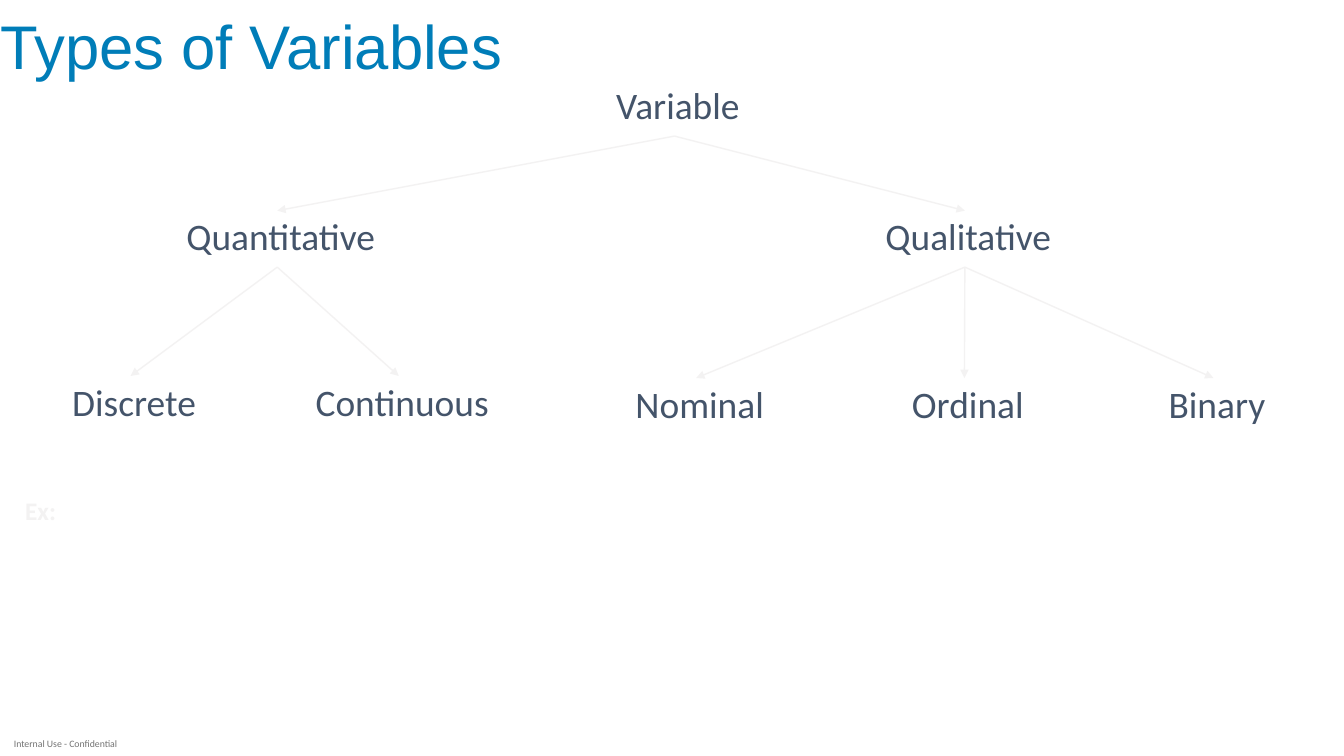
from pptx import Presentation
from pptx import util as u
from pptx.dml import color
from pptx.enum import shapes, text
from pptx.oxml import ns
from lxml import etree


def paint(hue):
    return color.RGBColor.from_string(hue)


def write(shape, words, size, face, hue, pads, align="LEFT", bold=False):
    frame = shape.text_frame
    frame.text = words
    frame.word_wrap = True
    frame.auto_size = text.MSO_AUTO_SIZE.NONE
    frame.vertical_anchor = text.MSO_ANCHOR.MIDDLE
    left, top, right, low = [u.Inches(pad) for pad in pads]
    frame.margin_left, frame.margin_top = left, top
    frame.margin_right, frame.margin_bottom = right, low
    line = frame.paragraphs[0]
    line.alignment = getattr(text.PP_ALIGN, align)
    line.line_spacing = 0.9
    font = line.runs[0].font
    font.size, font.name, font.bold = u.Pt(size), face, bold
    font.color.rgb = paint(hue)


deck = Presentation()
deck.slide_width, deck.slide_height = u.Inches(13.33), u.Inches(7.5)
slide = deck.slides.add_slide(deck.slide_layouts[5])

title = slide.shapes.title
title.left, title.top = u.Inches(0), u.Inches(0.03)
title.width, title.height = u.Inches(11.6), u.Inches(0.93)
write(title, "Types of Variables", 44, "Arial", "007DB8", (0, 0.05, 0, 0.05))

labels = [
    ("Internal Use - Confidential", 0, 7.27, 1.3, 0.23, 7, "737373", "CENTER", False),
    ("Ex:", 0.25, 4.88, 1, 0.4, 18, "F3F2F2", "LEFT", True),
]
for words, x, y, wide, high, size, hue, align, bold in labels:
    box = slide.shapes.add_textbox(*map(u.Inches, (x, y, wide, high)))
    write(box, words, size, "Calibri", hue, (0, 0, 0, 0), align, bold)

high = 0.56
nodes = [
    ("Variable", None, 5.61, 0.79, 2.16),
    ("Quantitative", "Variable", 1.49, 2.09, 2.52),
    ("Qualitative", "Variable", 8.31, 2.09, 2.52),
    ("Discrete", "Quantitative", 0.09, 3.73, 2.41),
    ("Continuous", "Quantitative", 2.75, 3.73, 2.41),
    ("Nominal", "Qualitative", 5.7, 3.75, 2.41),
    ("Ordinal", "Qualitative", 8.36, 3.75, 2.41),
    ("Binary", "Qualitative", 10.83, 3.75, 2.41),
]
spots = {}
for name, parent, x, y, wide in nodes:
    node = slide.shapes.add_shape(
        shapes.MSO_SHAPE.ROUNDED_RECTANGLE, *map(u.Inches, (x, y, wide, high)))
    node.shadow.inherit = False
    node.fill.solid()
    node.fill.fore_color.rgb = paint("FFFFFF")
    node.line.fill.background()
    write(node, name, 26.7, "Calibri", "44546A", (0.27, 0.2, 0.2, 0.2), "CENTER")
    spots[name] = x + wide / 2, y

for name, parent, *rest in nodes:
    if parent:
        x, y = spots[parent]
        ends = (x, y + high, *spots[name])
        arrow = slide.shapes.add_connector(
            shapes.MSO_CONNECTOR.STRAIGHT, *map(u.Inches, ends))
        arrow.line.color.rgb = paint("F3F2F2")
        arrow.line.width = u.Pt(1)
        tip = etree.SubElement(arrow.line._get_or_add_ln(), ns.qn("a:tailEnd"))
        tip.set("type", "triangle")
        etree.SubElement(arrow._element.spPr, ns.qn("a:effectLst"))

deck.save("out.pptx")
